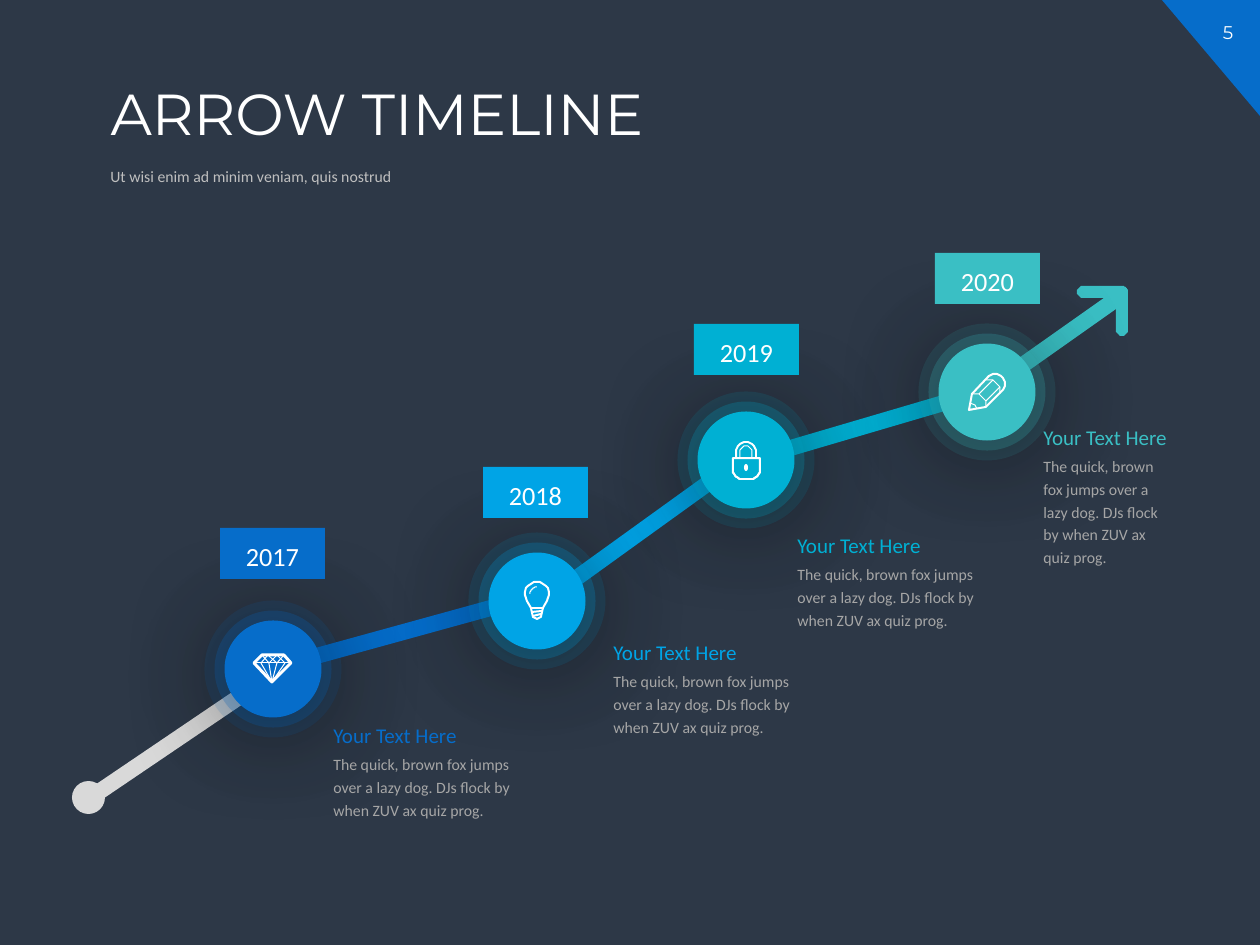
from math import cos, radians, sin

from lxml.etree import SubElement
from pptx import Presentation
from pptx.dml.color import RGBColor
from pptx.enum.shapes import MSO_SHAPE as Kind
from pptx.enum.text import MSO_ANCHOR as Anchor, PP_ALIGN as Align
from pptx.oxml.ns import qn
from pptx.util import Emu, Pt

SCALE = 914400 / 126
WHITE, PALE, GREY = "FFFFFF", "D9D9D9", "A6A6A6"
BLUE, SKY, CYAN, TEAL = "066DCA", "00A4E6", "00B0D3", "3ABFC4"
HEAD = "Your Text Here"
BODY = "The quick, brown fox jumps over a lazy dog. DJs flock by when ZUV ax quiz prog."


def px(n):
    return Emu(round(n * SCALE))


def rgb(code):
    return RGBColor.from_string(code)


def paint(shape, color):
    shape.shadow.inherit = False
    shape.fill.solid()
    shape.fill.fore_color.rgb = rgb(color)
    shape.line.fill.background()


def block(shapes, kind, box, color, turn=0):
    shape = shapes.add_shape(kind, *map(px, box))
    paint(shape, color)
    shape.rotation = turn
    return shape


def write(shape, text, size, color, font="Calibri", align=Align.LEFT,
          space=1.2, anchor=Anchor.TOP):
    frame = shape.text_frame
    frame.word_wrap = True
    frame.vertical_anchor = anchor
    para = frame.paragraphs[0]
    para.alignment = align
    para.line_spacing = space
    run = para.add_run()
    run.text = text
    run.font.size = Pt(size)
    run.font.name = font
    run.font.color.rgb = rgb(color)


def label(shapes, box, *args, **style):
    write(shapes.add_textbox(*map(px, box)), *args, **style)


def arc(x, y, r, start, end):
    steps = 16
    return [(x + r * cos(a), y + r * sin(a))
            for a in (radians(start + (end - start) * i / steps)
                      for i in range(steps + 1))]


def trace(shapes, points, close):
    pen = shapes.build_freeform(*points[0], scale=SCALE)
    pen.add_line_segments(points[1:], close=close)
    return pen.convert_to_shape()


def stroke(shapes, points, close=False, width=2):
    shape = trace(shapes, points, close)
    shape.shadow.inherit = False
    shape.fill.background()
    shape.line.color.rgb = rgb(WHITE)
    shape.line.width = px(width)


def glow(shape, blur):
    """Soft black shadow, four points below the shape."""
    effects = shape._element.spPr.find(qn("a:effectLst"))
    cast = SubElement(effects, qn("a:outerShdw"), blurRad=str(Pt(blur)),
                      dist=str(Pt(4)), dir="5400000", algn="t", rotWithShape="0")
    tone = SubElement(cast, qn("a:srgbClr"), val="000000")
    SubElement(tone, qn("a:alpha"), val="43000")


def disc(slide, x, y, color):
    shapes = slide.shapes.add_group_shape().shapes
    for size, alpha, blur in ((137, 13, 49), (117, 25, 49), (97, 100, 64)):
        ring = block(shapes, Kind.OVAL, (x - size / 2, y - size / 2, size, size), color)
        if alpha < 100:
            tone = ring._element.spPr.find(qn("a:solidFill"))[0]
            SubElement(tone, qn("a:alpha"), val=str(alpha * 1000))
        glow(ring, blur)


def gem(shapes):
    tip = (272, 682)
    stroke(shapes, [(262, 655), (284, 655), (291, 663), tip, (254, 663)], True, 3)
    stroke(shapes, [(254, 663), (291, 663)], width=1)
    for top in ([(261, 663), (268, 655), (277, 663), (284, 655)],
                [(285, 663), (277, 655), (269, 663), (262, 655)]):
        stroke(shapes, top, width=1)
    for left, right in ((261, 269), (277, 285)):
        stroke(shapes, [(left, 663), tip, (right, 663)], width=1)


def bulb(shapes):
    base = [(543, 608), (541, 617), (537, 619), (533, 617), (531, 608)]
    stroke(shapes, arc(537, 594, 12, 145, 395) + base, True)
    stroke(shapes, arc(537, 594, 7, 180, 270), width=1)
    for left, right in (((531, 608), (543, 608)), ((532, 612), (542, 611)),
                        ((533, 616), (541, 614))):
        stroke(shapes, [left, right])


def lock(shapes):
    case = [(733, 458), (760, 458)] + arc(751, 470, 9, 0, 90) + arc(742, 470, 9, 90, 180)
    stroke(shapes, case, True)
    for r, width in ((10, 2), (6, 1)):
        hoop = arc(746, 452, r, 180, 360)
        stroke(shapes, [(746 - r, 458)] + hoop + [(746 + r, 458)], width=width)
    block(shapes, Kind.OVAL, (744, 464, 4, 7), WHITE)


def pencil(shapes):
    cap = arc(995, 384, 10, 225, 405)
    stroke(shapes, [(969, 410), (972, 394)] + cap + [(986, 407)], True)
    for line in ([(972, 394), (979, 394), (986, 401), (986, 407)],
                 [(986, 380), (993, 380), (1000, 387), (1000, 394)],
                 [(979, 394), (993, 380)], [(986, 401), (1000, 387)],
                 [(970, 403), (975, 405), (977, 409)]):
        stroke(shapes, line, width=1)


# disc centre, tag corner, text corner, text width and height
STAGES = [
    ("2017", BLUE, gem, (273, 669), (220, 528), (321, 711), (219, 82)),
    ("2018", SKY, bulb, (537, 601), (483, 467), (601, 628), (219, 82)),
    ("2019", CYAN, lock, (746, 460), (694, 324), (785, 521), (219, 82)),
    ("2020", TEAL, pencil, (987, 392), (935, 253), (1031, 413), (156, 127)),
]
BARS = [
    (733, 425, 217, 343.6, CYAN), (532, 524, 217, 324.2, SKY),
    (295, 624, 217, 344.6, BLUE), (76, 726, 217, 325.9, PALE),
    (953, 341, 185, 324.8, TEAL),
]


def header(slide):
    shapes = slide.shapes
    block(shapes, Kind.RIGHT_TRIANGLE, (1162, 0, 98, 116), BLUE, 180)
    label(shapes, (1196, 15, 64, 35), "5", 10.5, WHITE, "Montserrat",
          Align.CENTER, space=1)
    title = shapes.title
    title.left, title.top, title.width, title.height = map(px, (98, 79, 1116, 92))
    write(title, "ARROW TIMELINE", 33, WHITE, "Montserrat", space=0.9)
    label(shapes, (98, 161, 908, 33), "Ut wisi enim ad minim veniam, quis nostrud",
          9, "BFBFBF", space=0.9, anchor=Anchor.MIDDLE)


def arrow(slide):
    shapes = slide.shapes
    for x, y, width, turn, color in BARS:
        block(shapes, Kind.RECTANGLE, (x, y, width, 16), color, turn)
    block(shapes, Kind.OVAL, (72, 781, 33, 33), PALE)
    tip = (arc(1122, 292, 6, 270, 360) + arc(1122, 330, 6, 0, 180)
           + [(1116, 298)] + arc(1083, 292, 6, 90, 270))
    paint(trace(shapes, tip, True), TEAL)


def stage(slide, year, color, icon, tag, spot, size):
    shapes = slide.shapes
    x, y = spot
    width, height = size
    label(shapes, (x, y, min(width, 200), 41), HEAD, 12, color)
    label(shapes, (x, y + 34, width, height), BODY, 9, GREY)
    box = block(shapes, Kind.RECTANGLE, (*tag, 105, 51), color)
    write(box, year, 15, WHITE, align=Align.CENTER)
    icon(shapes.add_group_shape().shapes)


def main():
    deck = Presentation()
    deck.slide_width, deck.slide_height = px(1260), px(945)
    slide = deck.slides.add_slide(deck.slide_layouts[5])
    slide.background.fill.solid()
    slide.background.fill.fore_color.rgb = rgb("2D3847")
    header(slide)
    arrow(slide)
    # Discs go first, so that no shadow falls on the text
    for _, color, _, spot, *_ in STAGES:
        disc(slide, *spot, color)
    for year, color, icon, _, tag, spot, size in STAGES:
        stage(slide, year, color, icon, tag, spot, size)
    deck.save("out.pptx")


if __name__ == "__main__":
    main()
